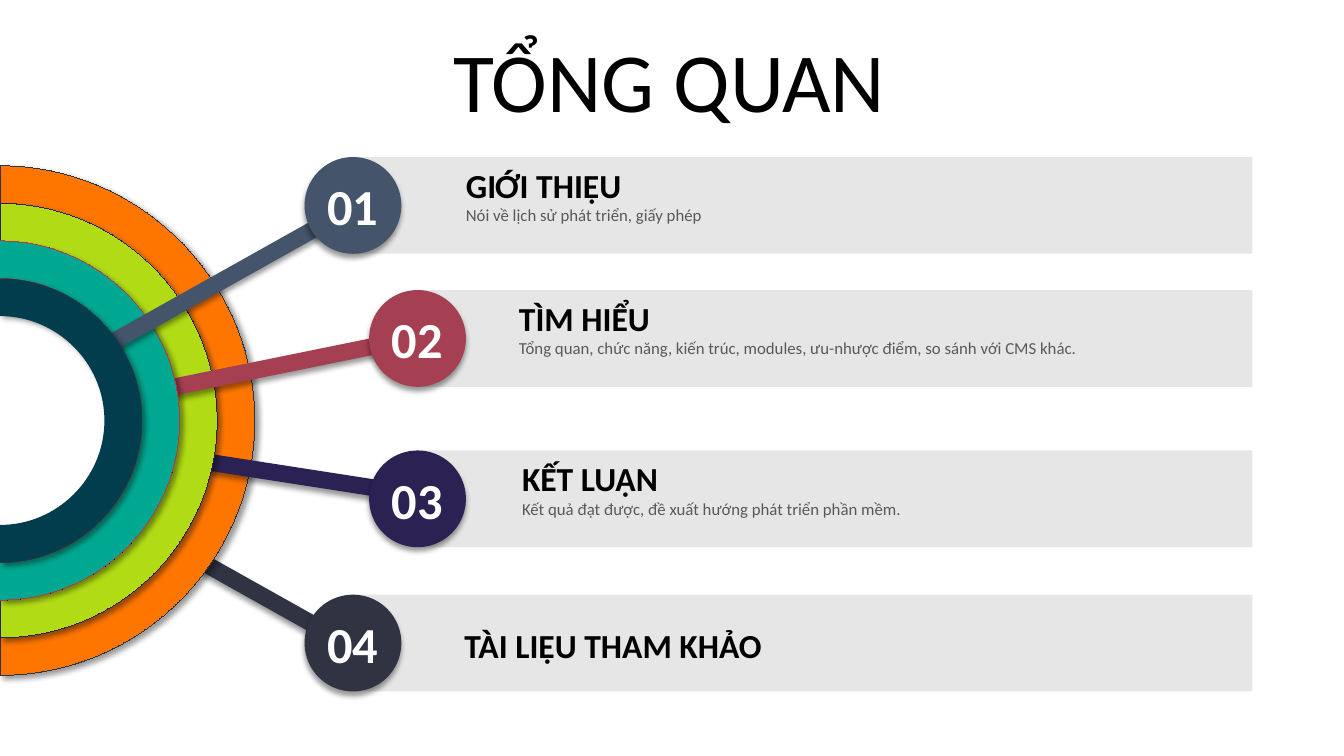
from lxml import etree
from pptx import Presentation
from pptx.dml.color import RGBColor
from pptx.enum.shapes import MSO_CONNECTOR, MSO_SHAPE
from pptx.enum.text import MSO_ANCHOR, PP_ALIGN
from pptx.oxml.ns import qn
from pptx.util import Pt

RECT, OVAL = MSO_SHAPE.RECTANGLE, MSO_SHAPE.OVAL
STRAIGHT = MSO_CONNECTOR.STRAIGHT
TOP, MIDDLE, BOTTOM = MSO_ANCHOR.TOP, MSO_ANCHOR.MIDDLE, MSO_ANCHOR.BOTTOM
LEFT, CENTER, JUSTIFY = PP_ALIGN.LEFT, PP_ALIGN.CENTER, PP_ALIGN.JUSTIFY

FONT = "Calibri"
HUB_Y = 300.4
OUTER = 182
BAND = 26.85
BEND = 0.55
SIZE = 69.1
EDGE = 894.6

# number, heading, detail, top, disc left, text left, heading offset,
# arm start, arm end, arm colour, ring colour, ring line
ROWS = [
    ("04", "TÀI LIỆU THAM KHẢO", "", 424.8, 217.6, 331.8, 17.8,
     (128.2, 392.4), (247.7, 459.4), "2F3342", "FE7600", "2F3342"),
    ("03", "KẾT LUẬN", "Kết quả đạt được, đề xuất hướng phát triển phần mềm.",
     321.8, 263.7, 372.9, 1.7,
     (128.2, 326.9), (295.2, 352.8), "2C2153", "B1DB15", "2C2153"),
    ("02", "TÌM HIỂU",
     "Tổng quan, chức năng, kiến trúc, modules, ưu-nhược điểm, so sánh với CMS khác.",
     207.2, 263.7, 370.7, 1.9,
     (109.4, 279.4), (293.8, 241.9), "A53F52", "00A891", "A53F52"),
    ("01", "GIỚI THIỆU", "Nói về lịch sử phát triển, giấy phép",
     112.2, 217.6, 332.8, 1.9,
     (65.5, 252.7), (249.1, 149.8), "44546A", "013D4D", None),
]


def color(code):
    return RGBColor.from_string(code)


def paint(shape, fill, line=None):
    shape.shadow.inherit = False
    shape.fill.solid()
    shape.fill.fore_color.rgb = color(fill)
    if line:
        shape.line.color.rgb = color(line)
        shape.line.width = Pt(0.01)
    else:
        shape.line.fill.background()


def shade(item, angle):
    """Give a shape or connector a soft outer shadow."""
    props = item._element.spPr
    effects = props.find(qn("a:effectLst"))
    if effects is None:
        effects = etree.SubElement(props, qn("a:effectLst"))
    outer = etree.SubElement(
        effects, qn("a:outerShdw"), blurRad=str(Pt(4)), dist=str(Pt(3)),
        dir=str(angle * 60000), algn="ctr", rotWithShape="0")
    tone = etree.SubElement(outer, qn("a:srgbClr"), val="000000")
    etree.SubElement(tone, qn("a:alpha"), val="40000")


def write(shape, text, size, code, bold=False, align=LEFT, anchor=TOP):
    frame = shape.text_frame
    frame.text = text
    frame.word_wrap = True
    frame.margin_left = frame.margin_right = 0
    frame.margin_top = frame.margin_bottom = Pt(3.6)
    frame.vertical_anchor = anchor
    line = frame.paragraphs[0]
    line.alignment = align
    font = line.runs[0].font
    font.name, font.size, font.bold = FONT, Pt(size), bold
    font.color.rgb = color(code)


def label(slide, box, *args, **style):
    write(slide.shapes.add_textbox(*map(Pt, box)), *args, **style)


def bar(slide, box, text_x, head, detail, drop):
    x, y, width, height = box
    back = slide.shapes.add_shape(RECT, *map(Pt, box))
    paint(back, "E7E6E6")
    label(slide, (text_x, y + drop, 471, 36), head, 24, "000000",
          bold=True, anchor=BOTTOM)
    if detail:
        label(slide, (text_x, y + 30.7, 469.5, 21.6), detail, 12, "595959",
              align=JUSTIFY)


def arm(slide, start, end, code):
    line = slide.shapes.add_connector(STRAIGHT, *map(Pt, start + end))
    line.line.color.rgb = color(code)
    line.line.width = Pt(12)
    shade(line, 90)


def disc(slide, box, number, code):
    shape = slide.shapes.add_shape(OVAL, *map(Pt, box))
    paint(shape, code)
    shade(shape, 90)
    write(shape, number, 36, "FFFFFF", bold=True, align=CENTER, anchor=MIDDLE)


def curve(step, start):
    """Turn a straight step of an outline into a quarter circle."""
    first, last = [(int(p.get("x")), int(p.get("y")))
                   for p in (start[-1], step[0])]
    corner = (max(first[0], last[0]), first[1] if first[0] == 0 else last[1])
    step.tag = qn("a:cubicBezTo")
    for i, spot in enumerate((first, last)):
        x, y = [round(a + BEND * (b - a)) for a, b in zip(spot, corner)]
        step.insert(i, etree.Element(qn("a:pt"), x=str(x), y=str(y)))


def ring(slide, radius, fill, line):
    inner = radius - BAND
    spots = [(0, -radius), (radius, 0), (0, radius),
             (0, inner), (inner, 0), (0, -inner)]
    points = [(Pt(x), Pt(HUB_Y + y)) for x, y in spots]
    form = slide.shapes.build_freeform(*points[0])
    form.add_line_segments(points[1:], close=True)
    shape = form.convert_to_shape()
    steps = list(next(shape._element.iter(qn("a:path"))))
    for i in (1, 2, 4, 5):
        curve(steps[i], steps[i - 1])
    paint(shape, fill, line)
    shade(shape, 45)


def main():
    deck = Presentation()
    deck.slide_width, deck.slide_height = Pt(960), Pt(540)
    slide = deck.slides.add_slide(deck.slide_layouts[6])
    label(slide, (64, 37.4, 828, 58.3), "TỔNG QUAN", 60, "000000",
          align=CENTER, anchor=BOTTOM)
    for i, row in enumerate(ROWS):
        number, head, detail, top, x, text_x, drop, start, end, code, fill, line = row
        mid = x + SIZE / 2
        bar(slide, (mid, top, EDGE - mid, SIZE), text_x, head, detail, drop)
        arm(slide, start, end, code)
        disc(slide, (x, top, SIZE, SIZE), number, code)
        ring(slide, OUTER - i * BAND, fill, line)
    deck.save("out.pptx")


if __name__ == "__main__":
    main()
